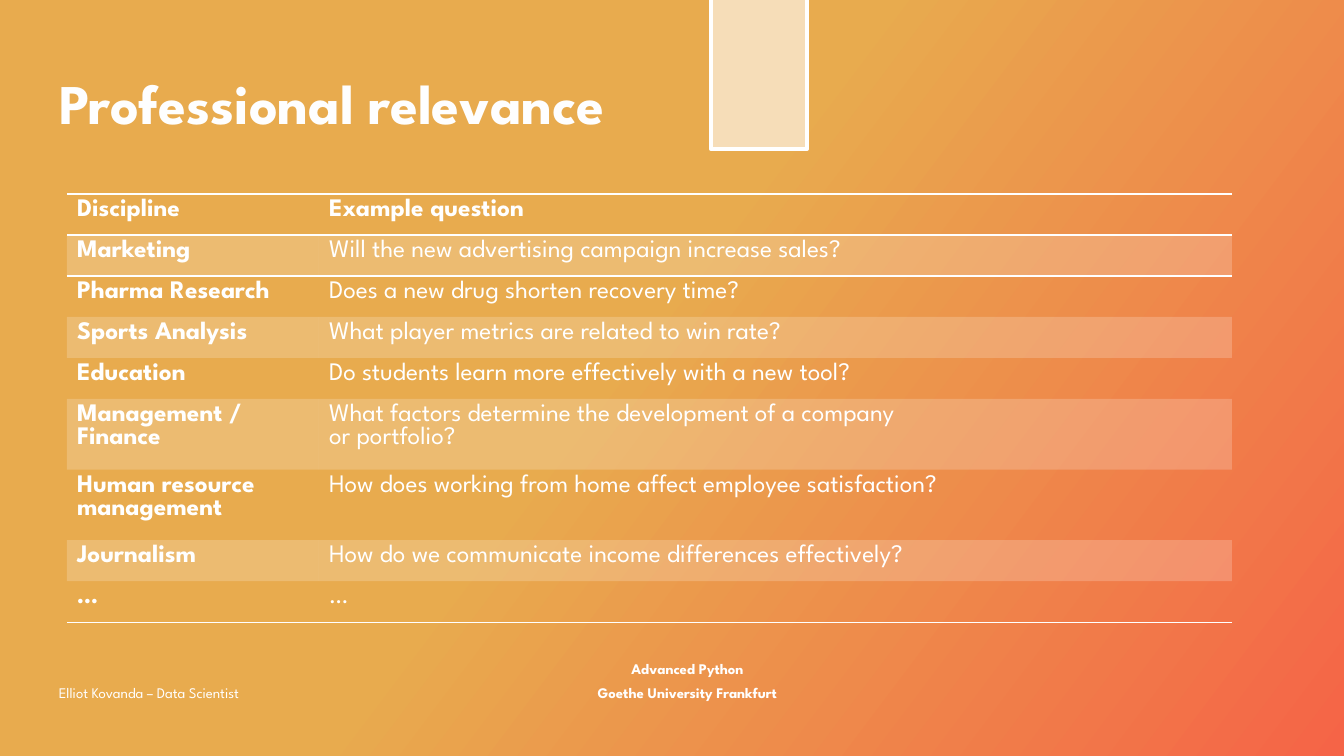
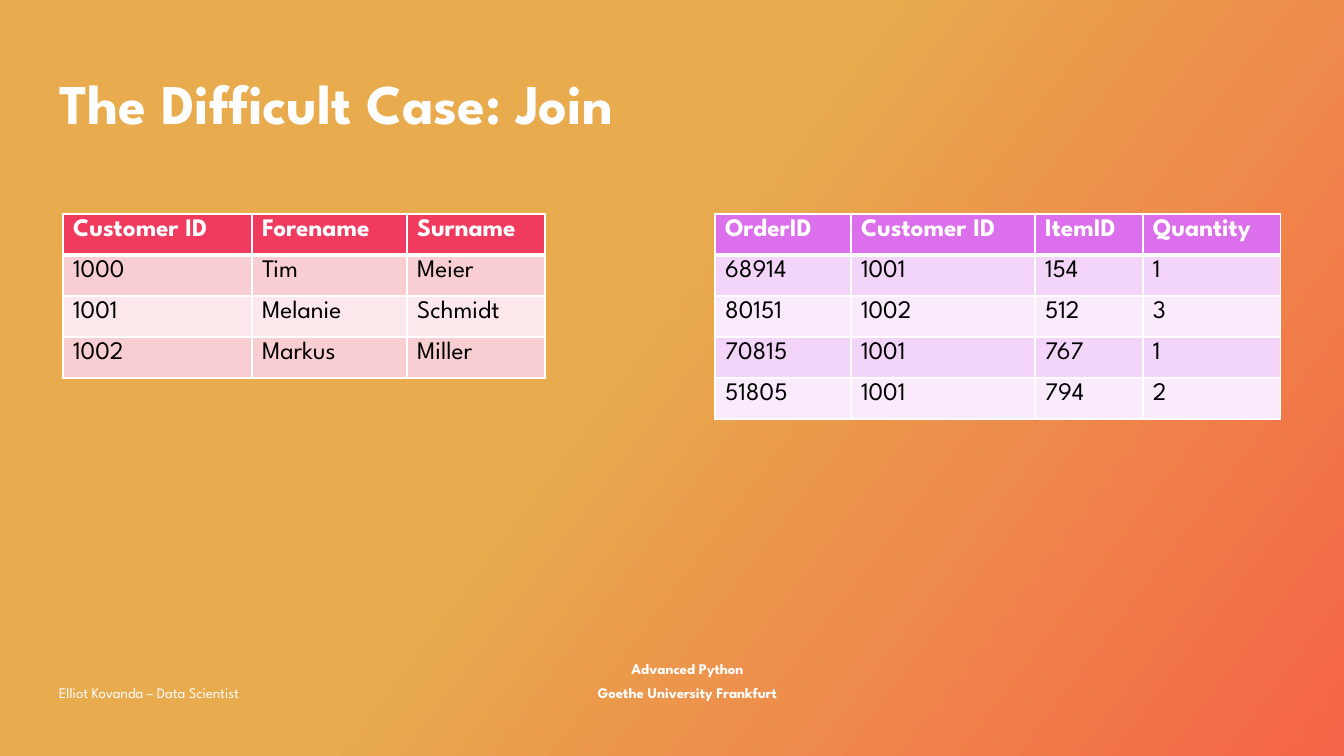
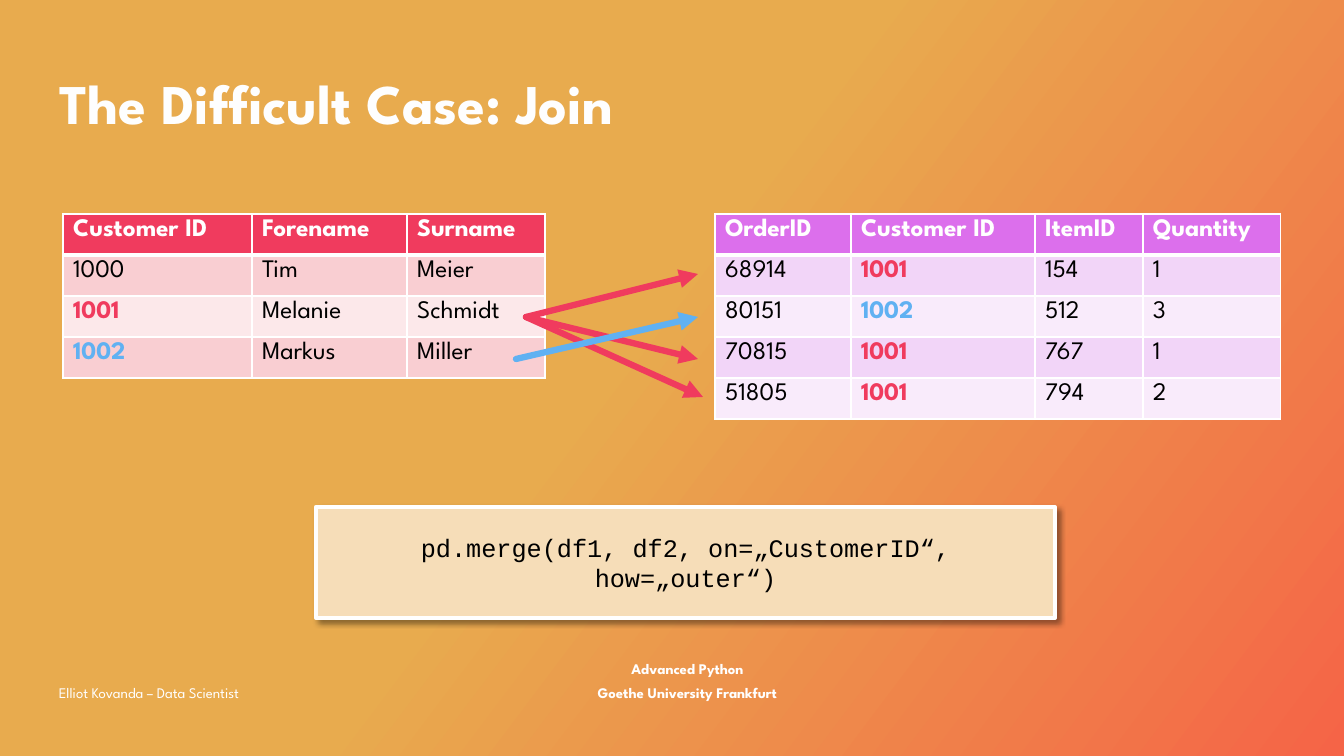
from copy import deepcopy

from lxml.etree import SubElement
from pptx import Presentation
from pptx.dml.color import RGBColor
from pptx.enum.shapes import MSO_CONNECTOR as Connector, MSO_SHAPE as Preset
from pptx.enum.text import MSO_ANCHOR as Anchor, MSO_AUTO_SIZE as AutoSize, PP_ALIGN as Align
from pptx.oxml.ns import qn
from pptx.util import Pt

SCALE = 914400 / 100.8
ROW_HEIGHT = 41
NO_STYLE = "{2D5ABB26-0587-4C30-8999-92F81FD0307C}"
FONT = "League Spartan"
CODE_FONT = "Courier New"
COLOURS = {
    "amber": "E8AB4E",
    "coral": "F56447",
    "white": "FFFFFF",
    "title": "FEFEFE",
    "black": "000000",
    "cream": "F6DDB8",
    "red": "F03B5E",
    "red band": "F9CED2",
    "red tint": "FCE8EA",
    "violet": "DC6FEC",
    "violet band": "F2D5F8",
    "violet tint": "F9EBFB",
    "sky": "60B1F2",
}
SIDES = ("L", "R", "T", "B")

DISCIPLINES = [
    ("Discipline", "Example question"),
    ("Marketing", "Will the new advertising campaign increase sales?"),
    ("Pharma Research", "Does a new drug shorten recovery time?"),
    ("Sports Analysis", "What player metrics are related to win rate?"),
    ("Education", "Do students learn more effectively with a new tool?"),
    ("Management / Finance", "What factors determine the development of a company \vor portfolio?"),
    ("Human resource management", "How does working from home affect employee satisfaction?"),
    ("Journalism", "How do we communicate income differences effectively?"),
    ("…", "…"),
]
CUSTOMERS = [
    ("Customer ID", "Forename", "Surname"),
    ("1000", "Tim", "Meier"),
    ("1001", "Melanie", "Schmidt"),
    ("1002", "Markus", "Miller"),
]
ORDERS = [
    ("OrderID", "Customer ID", "ItemID", "Quantity"),
    ("68914", "1001", "154", "1"),
    ("80151", "1002", "512", "3"),
    ("70815", "1001", "767", "1"),
    ("51805", "1001", "794", "2"),
]
MATCHES = {"1001": "red", "1002": "sky"}
ARROWS = [
    ("red", (526, 317), (698, 274)),
    ("red", (526, 317), (698, 359)),
    ("red", (526, 317), (703, 397)),
    ("sky", (516, 359), (698, 317)),
]


def px(*lengths):
    return [round(length * SCALE) for length in lengths]


def colour(name):
    return RGBColor.from_string(COLOURS[name])


def add_shadow(effects):
    shadow = SubElement(effects, qn("a:outerShdw"), blurRad=str(Pt(4)), dist=str(Pt(3)),
                        dir="2700000", algn="tl", rotWithShape="0")
    black = SubElement(shadow, qn("a:srgbClr"), val=COLOURS["black"])
    SubElement(black, qn("a:alpha"), val="40000")


class Deck:
    def __init__(self):
        self.deck = Presentation()
        self.deck.slide_width, self.deck.slide_height = px(1344, 756)
        self.page = None
        self.paint_background()

    def paint_background(self):
        master = self.deck.slide_master
        fill = master.background.fill
        fill.gradient()
        fill.gradient_angle = 360 - 37
        for stop, name, position in zip(fill.gradient_stops, ("amber", "coral"), (0, 1)):
            stop.color.rgb = colour(name)
            stop.position = position
        stops = master.element.find(".//" + qn("a:gsLst"))
        middle = deepcopy(stops[0])
        middle.set("pos", "46000")
        stops.insert(1, middle)

    def new_page(self, title):
        self.page = self.deck.slides.add_slide(self.deck.slide_layouts[5])
        self.title(title)
        self.text((564, 666, 247, 40), "Advanced Python\vGoethe University Frankfurt",
                  bold=True, align=Align.CENTER)
        self.text((49, 666, 247, 40), "Elliot Kovanda – Data Scientist")

    def style(self, frame, size, name="white", bold=False, font=FONT, align=Align.LEFT):
        for para in frame.paragraphs:
            para.alignment = align
            for span in para.runs:
                span.font.size = Pt(size)
                span.font.name = font
                span.font.bold = bold
                span.font.color.rgb = colour(name)

    def title(self, words):
        box = self.page.shapes.title
        box.left, box.top, box.width, box.height = px(49, 49, 1165, 107)
        frame = box.text_frame
        frame.text = words
        frame.auto_size = AutoSize.NONE
        frame.vertical_anchor = Anchor.MIDDLE
        self.style(frame, 40, "title", bold=True)
        properties = box.element.find(".//" + qn("a:rPr"))
        effects = SubElement(properties, qn("a:effectLst"))
        properties.find(qn("a:solidFill")).addnext(effects)
        add_shadow(effects)

    def text(self, place, words, bold=False, align=Align.LEFT):
        frame = self.page.shapes.add_textbox(*px(*place)).text_frame
        frame.word_wrap = True
        frame.vertical_anchor = Anchor.BOTTOM
        frame.text = words
        frame.paragraphs[0].line_spacing = 1.34
        self.style(frame, 10.5, bold=bold, align=align)

    def panel(self, place, preset=Preset.RECTANGLE):
        shape = self.page.shapes.add_shape(preset, *px(*place))
        shape.shadow.inherit = False
        shape.fill.solid()
        shape.fill.fore_color.rgb = colour("cream")
        shape.line.color.rgb = colour("white")
        shape.line.width = Pt(3)
        return shape

    def tab(self, place):
        self.panel(place, Preset.SNIP_1_RECTANGLE).adjustments[0] = 0

    def code(self, place, words):
        box = self.panel(place)
        add_shadow(box.element.find(".//" + qn("a:effectLst")))
        frame = box.text_frame
        frame.word_wrap = True
        frame.vertical_anchor = Anchor.MIDDLE
        frame.text = words
        self.style(frame, 18, "black", font=CODE_FONT, align=Align.CENTER)

    def arrow(self, name, start, end):
        line = self.page.shapes.add_connector(Connector.STRAIGHT, *px(*start, *end))
        line.line.color.rgb = colour(name)
        line.line.width = Pt(4.5)
        properties = line.element.find(qn("p:spPr"))
        stroke = properties.find(qn("a:ln"))
        stroke.set("cap", "rnd")
        SubElement(stroke, qn("a:tailEnd"), type="triangle")
        SubElement(properties, qn("a:effectLst"))

    def table(self, left, top, widths, rows):
        place = px(left, top, sum(widths), ROW_HEIGHT * len(rows))
        holder = self.page.shapes.add_table(len(rows), len(widths), *place)
        holder.element.find(".//" + qn("a:tableStyleId")).text = NO_STYLE
        table = holder.table
        for column, width in zip(table.columns, px(*widths)):
            column.width = width
        for row, words in zip(table.rows, rows):
            row.height, = px(ROW_HEIGHT)
            for cell, word in zip(row.cells, words):
                cell.text_frame.text = word
        return table

    def fill_cell(self, cell, name, alpha=100):
        cell.fill.solid()
        cell.fill.fore_color.rgb = colour(name)
        if alpha < 100:
            tint = cell._tc.tcPr.find(qn("a:solidFill"))[0]
            SubElement(tint, qn("a:alpha"), val=str(alpha * 1000))

    def edge_cell(self, cell, weights):
        properties = cell._tc.get_or_add_tcPr()
        sides = [side for side in SIDES if side in weights]
        for index, side in enumerate(sides):
            line = SubElement(properties, qn("a:ln" + side), w=str(Pt(weights[side])))
            paint = SubElement(line, qn("a:solidFill"))
            SubElement(paint, qn("a:srgbClr"), val=COLOURS["white"])
            properties.insert(index, line)

    def discipline_table(self, left, top, widths, rows):
        table = self.table(left, top, widths, rows)
        edges = {0: {"T": 1, "B": 1}, 1: {"T": 1}, len(rows) - 1: {"B": 1}}
        for row_index, row in enumerate(table.rows):
            for column_index, cell in enumerate(row.cells):
                self.style(cell.text_frame, 18, bold=row_index == 0 or column_index == 0)
                if row_index % 2:
                    self.fill_cell(cell, "white", 20)
                else:
                    cell.fill.background()
                self.edge_cell(cell, edges.get(row_index, {}))

    def data_table(self, left, top, widths, rows, theme, matches):
        table = self.table(left, top, widths, rows)
        for index, row in enumerate(table.rows):
            shade = theme if index == 0 else theme + (" band" if index % 2 else " tint")
            weights = dict.fromkeys(SIDES, 1)
            if index == 0:
                weights["B"] = 3
            elif index == 1:
                weights["T"] = 3
            for cell in row.cells:
                match = matches.get(cell.text_frame.text)
                ink = "white" if index == 0 else match or "black"
                self.style(cell.text_frame, 18, ink, bold=ink != "black")
                self.fill_cell(cell, shade)
                self.edge_cell(cell, weights)

    def join_page(self, matches):
        self.new_page("The Difficult Case: Join")
        self.data_table(715, 214, (136, 184, 108, 138), ORDERS, "violet", matches)
        self.data_table(63, 214, (189, 155, 138), CUSTOMERS, "red", matches)


def main():
    deck = Deck()

    deck.new_page("Professional relevance")
    deck.tab((711, -24, 96, 173))
    deck.discipline_table(67, 194, (252, 913), DISCIPLINES)

    deck.join_page({})

    deck.join_page(MATCHES)
    for name, start, end in ARROWS:
        deck.arrow(name, start, end)
    deck.code((316, 507, 739, 111), "pd.merge(df1, df2, on=„CustomerID“, how=„outer“)")

    deck.deck.save("out.pptx")


if __name__ == "__main__":
    main()
